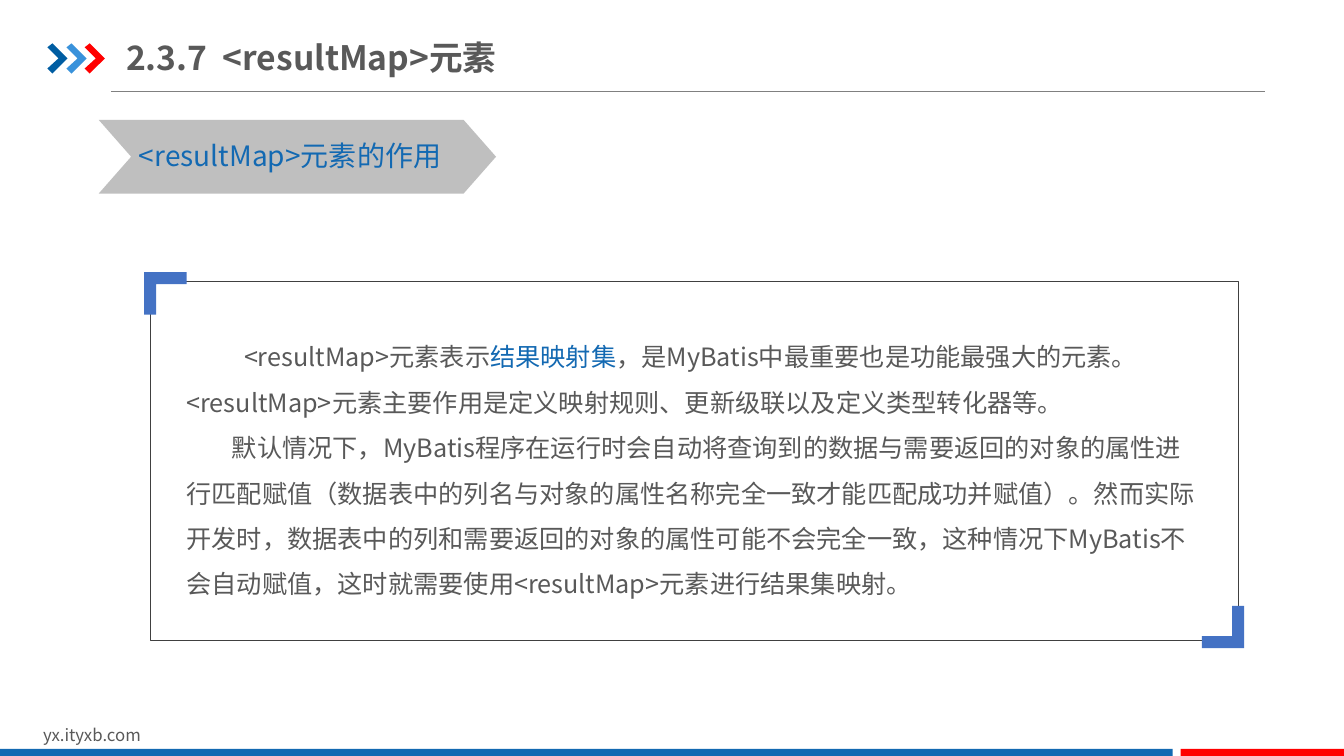
from dataclasses import dataclass

from lxml.etree import SubElement
from pptx import Presentation
from pptx.dml.color import RGBColor as Rgb
from pptx.enum.shapes import MSO_CONNECTOR as Link, MSO_SHAPE as Kind
from pptx.enum.text import MSO_ANCHOR as Anchor, MSO_AUTO_SIZE as Fit, PP_ALIGN as Align
from pptx.oxml.ns import qn
from pptx.util import Inches, Pt


@dataclass(frozen=True)
class Theme:
    font: str = "Noto Sans CJK SC"
    text: str = "595959"
    blue: str = "1369B2"
    red: str = "FF0000"
    navy: str = "005DA2"
    sky: str = "3992DB"
    corner: str = "4472C4"
    tag: str = "BFBFBF"
    rule: str = "808080"
    frame: str = "404040"
    title: int = 24
    label: int = 20
    body: int = 18
    foot: int = 12


@dataclass(frozen=True)
class Box:
    left: float
    top: float
    width: float
    height: float

    def place(self) -> tuple:
        return tuple(Inches(n) for n in (self.left, self.top, self.width, self.height))


@dataclass(frozen=True)
class Block:
    kind: Kind
    box: Box
    fill: str = ""
    line: str = ""
    adjust: float | None = None


@dataclass(frozen=True)
class Outline:
    left: float
    top: float
    points: tuple
    fill: str
    sign: int = 1


@dataclass(frozen=True)
class Note:
    box: Box
    text: str
    size: int
    color: str


@dataclass(frozen=True)
class Para:
    indent: float
    runs: tuple


THEME = Theme()
ARROW = ((0, 0.04), (0.05, 0), (0.2, 0.15), (0.05, 0.3), (0, 0.25), (0.11, 0.15))
CORNER = ((0, 0), (0.42, 0), (0.42, 0.12), (0.12, 0.12), (0.12, 0.42), (0, 0.42))

OUTLINES = (
    Outline(0.47, 0.43, ARROW, THEME.navy),
    Outline(0.66, 0.43, ARROW, THEME.sky),
    Outline(0.84, 0.43, ARROW, THEME.red),
    Outline(1.43, 2.7, CORNER, THEME.corner),
    Outline(12.34, 6.43, CORNER, THEME.corner, -1),
)
BLOCKS = (
    Block(Kind.RECTANGLE, Box(0, 7.43, 11.63, 0.07), THEME.blue),
    Block(Kind.RECTANGLE, Box(11.71, 7.43, 1.62, 0.07), THEME.red),
    Block(Kind.CHEVRON, Box(0.98, 1.19, 3.94, 0.73), THEME.tag, adjust=0.44),
    Block(Kind.ROUNDED_RECTANGLE, Box(1.49, 2.79, 10.79, 3.56), line=THEME.frame, adjust=0),
)
NOTES = (
    Note(Box(0.33, 7.14, 3.18, 0.3), "yx.ityxb.com", THEME.foot, THEME.text),
    Note(Box(1.28, 1.33, 3.49, 0.44), "<resultMap>元素的作用", THEME.label, THEME.blue),
)
PARAS = (
    Para(0.57, (
        ("<resultMap>元素表示", THEME.text),
        ("结果映射集", THEME.blue),
        ("，是MyBatis中最重要也是功能最强大的元素。<resultMap>元素主要作用是"
         "定义映射规则、更新级联以及定义类型转化器等。", THEME.text),
    )),
    Para(0.45, (
        ("默认情况下，MyBatis程序在运行时会自动将查询到的数据与需要返回的对象的属性进行"
         "匹配赋值（数据表中的列名与对象的属性名称完全一致才能匹配成功并赋值）。然而实际"
         "开发时，数据表中的列和需要返回的对象的属性可能不会完全一致，这种情况下MyBatis不"
         "会自动赋值，这时就需要使用<resultMap>元素进行结果集映射。", THEME.text),
    )),
)


def style(para, size: int, color: str, bold: bool = False) -> None:
    """Set the paragraph's font for Latin and East Asian text."""
    font = para.font
    font.size, font.bold, font.name = Pt(size), bold, THEME.font
    font.color.rgb = Rgb.from_string(color)
    SubElement(para._p.pPr.find(qn("a:defRPr")), qn("a:ea"), typeface=THEME.font)


def paint(shape, fill: str, line: str = "") -> None:
    shape.shadow.inherit = False
    if fill:
        shape.fill.solid()
        shape.fill.fore_color.rgb = Rgb.from_string(fill)
    else:
        shape.fill.background()
    if line:
        shape.line.color.rgb = Rgb.from_string(line)
        shape.line.width = Pt(0.25)
    else:
        shape.line.fill.background()


def move(shape, box: Box) -> None:
    shape.left, shape.top, shape.width, shape.height = box.place()


def add_block(shapes, block: Block) -> None:
    shape = shapes.add_shape(block.kind, *block.box.place())
    if block.adjust is not None:
        shape.adjustments[0] = block.adjust
    paint(shape, block.fill, block.line)


def add_outline(shapes, item: Outline) -> None:
    spots = [(Inches(item.left + item.sign * x), Inches(item.top + item.sign * y))
             for x, y in item.points]
    pen = shapes.build_freeform(*spots[0])
    pen.add_line_segments(spots[1:], close=True)
    paint(pen.convert_to_shape(), item.fill)


def add_note(shapes, note: Note) -> None:
    frame = shapes.add_textbox(*note.box.place()).text_frame
    frame.word_wrap = True
    frame.text = note.text
    style(frame.paragraphs[0], note.size, note.color)


def add_rule(shapes) -> None:
    ends = (Inches(n) for n in (1.1, 0.91, 12.55, 0.91))
    rule = shapes.add_connector(Link.STRAIGHT, *ends)
    rule.line.color.rgb = Rgb.from_string(THEME.rule)
    rule.line.width = Pt(0.5)
    SubElement(rule._element.spPr, qn("a:effectLst"))


def fill_title(title) -> None:
    move(title, Box(1.25, 0.29, 4.05, 0.55))
    frame = title.text_frame
    frame.auto_size, frame.vertical_anchor = Fit.NONE, Anchor.MIDDLE
    frame.margin_left = frame.margin_right = 0
    frame.margin_top = frame.margin_bottom = Inches(0.07)
    frame.text = "2.3.7\t<resultMap>元素"
    para = frame.paragraphs[0]
    para.alignment = Align.LEFT
    tabs = SubElement(para._p.get_or_add_pPr(), qn("a:tabLst"))
    SubElement(tabs, qn("a:tab"), pos=str(Inches(0.96)), algn="l")
    style(para, THEME.title, THEME.text, bold=True)


def fill_body(body) -> None:
    move(body, Box(1.75, 3.19, 10.27, 2.89))
    frame = body.text_frame
    frame.auto_size, frame.vertical_anchor = Fit.NONE, Anchor.TOP
    for spot, item in enumerate(PARAS):
        para = frame.add_paragraph() if spot else frame.paragraphs[0]
        para.line_spacing, para.space_before = 1.5, Pt(0)
        props = para._p.get_or_add_pPr()
        props.set("marL", "0")
        props.set("indent", str(Inches(item.indent)))
        SubElement(props, qn("a:buNone"))
        style(para, THEME.body, THEME.text)
        for text, color in item.runs:
            run = para.add_run()
            run.text = text
            if color != THEME.text:
                run.font.color.rgb = Rgb.from_string(color)


def main() -> None:
    deck = Presentation()
    deck.slide_width, deck.slide_height = Inches(13.33), Inches(7.5)
    slide = deck.slides.add_slide(deck.slide_layouts[1])
    shapes = slide.shapes
    fill_title(shapes.title)
    fill_body(slide.placeholders[1])
    add_rule(shapes)
    for block in BLOCKS:
        add_block(shapes, block)
    for item in OUTLINES:
        add_outline(shapes, item)
    for note in NOTES:
        add_note(shapes, note)
    deck.save("out.pptx")


if __name__ == "__main__":
    main()
